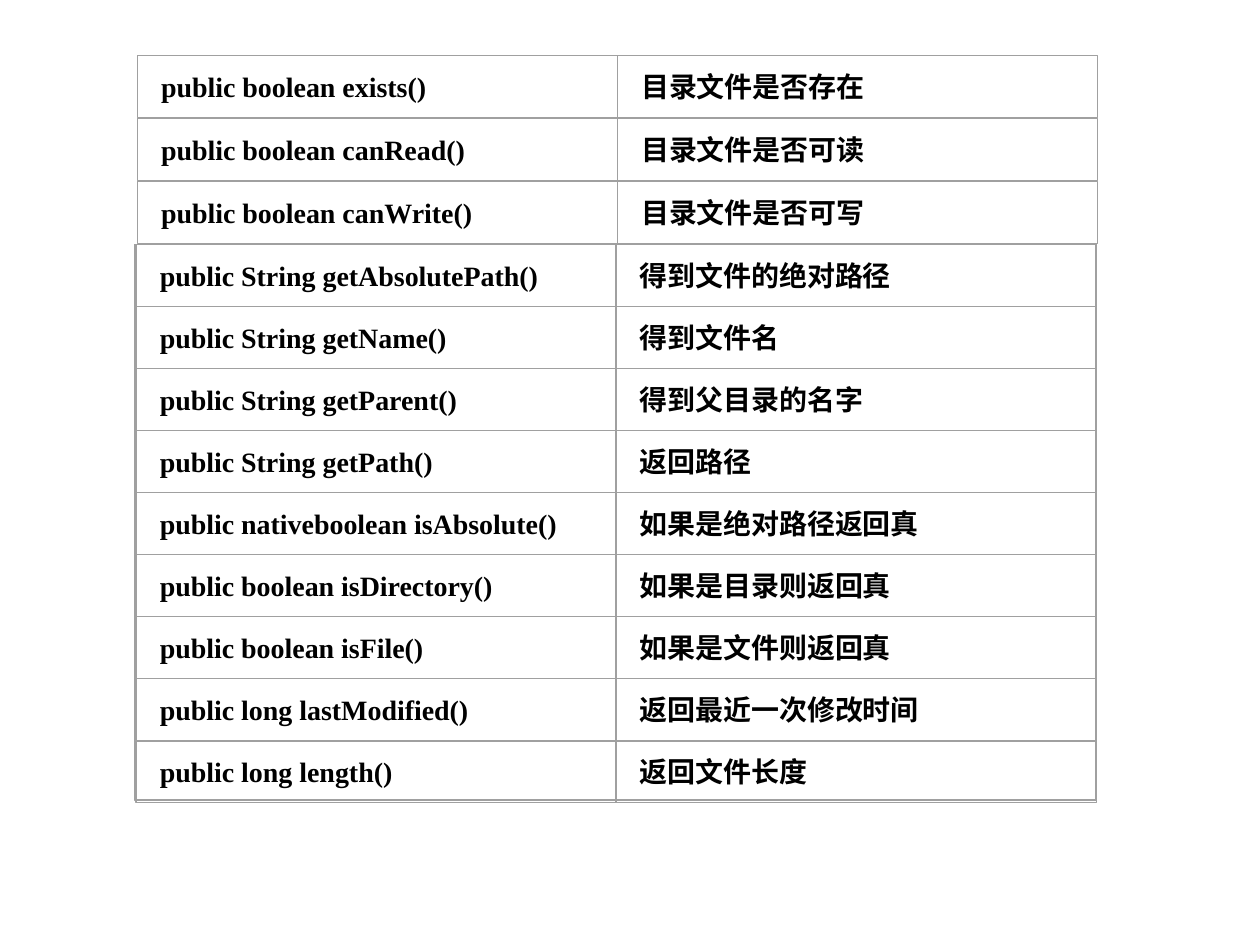
from dataclasses import dataclass
from typing import NamedTuple

from pptx import Presentation
from pptx.dml.color import RGBColor
from pptx.enum.shapes import MSO_SHAPE
from pptx.enum.text import MSO_ANCHOR, PP_ALIGN
from pptx.util import Inches, Pt

RECTANGLE = MSO_SHAPE.RECTANGLE
JUSTIFY = PP_ALIGN.JUSTIFY
MIDDLE = MSO_ANCHOR.MIDDLE
BLANK_LAYOUT = 6


@dataclass(frozen=True)
class Theme:
    font: str = "Times New Roman"
    text_size: float = 16
    text_color: str = "000000"
    border_color: str = "A0A0A0"
    hairline: float = 0
    frame_width: float = 0.75


class Box(NamedTuple):
    """Place and size, in inches."""
    left: float
    top: float
    width: float
    height: float

    def lengths(self) -> list[int]:
        return [Inches(value) for value in self]


class FileMethod(NamedTuple):
    signature: str
    meaning: str


@dataclass(frozen=True)
class MethodBlock:
    """Rows of two bordered cells, from one corner at one row pitch."""
    left: float
    top: float
    pitch: float
    methods: list[FileMethod]


THEME = Theme()
CELL_WIDTH, CELL_HEIGHT = 3.81, 0.49
TEXT_INSET = 0.09
FRAME = Box(1.07, 1.94, 7.63, 4.41)

ACCESS_CHECKS = MethodBlock(1.09, 0.44, 0.5, [
    FileMethod("public boolean exists()", "目录文件是否存在"),
    FileMethod("public boolean canRead()", "目录文件是否可读"),
    FileMethod("public boolean canWrite()", "目录文件是否可写"),
])

FILE_DETAILS = MethodBlock(1.08, 1.94, (5.88 - 1.94) / 8, [
    FileMethod("public String getAbsolutePath()", "得到文件的绝对路径"),
    FileMethod("public String getName()", "得到文件名"),
    FileMethod("public String getParent()", "得到父目录的名字"),
    FileMethod("public String getPath()", "返回路径"),
    FileMethod("public nativeboolean isAbsolute()", "如果是绝对路径返回真"),
    FileMethod("public boolean isDirectory()", "如果是目录则返回真"),
    FileMethod("public boolean isFile()", "如果是文件则返回真"),
    FileMethod("public long lastModified()", "返回最近一次修改时间"),
    FileMethod("public long length()", "返回文件长度"),
])


def add_border(shapes, box: Box, width: float) -> None:
    border = shapes.add_shape(RECTANGLE, *box.lengths())
    border.shadow.inherit = False
    border.fill.background()
    border.line.color.rgb = RGBColor.from_string(THEME.border_color)
    border.line.width = Pt(width)


def add_label(shapes, box: Box, text: str) -> None:
    frame = shapes.add_textbox(*box.lengths()).text_frame
    frame.word_wrap = True
    frame.vertical_anchor = MIDDLE
    paragraph = frame.paragraphs[0]
    paragraph.text = text
    paragraph.alignment = JUSTIFY
    font = paragraph.runs[0].font
    font.name = THEME.font
    font.size = Pt(THEME.text_size)
    font.bold = True
    font.color.rgb = RGBColor.from_string(THEME.text_color)


def add_cell(slide, box: Box, text: str) -> None:
    """Group a label with the border around it."""
    shapes = slide.shapes.add_group_shape().shapes
    label_box = box._replace(left=box.left + TEXT_INSET,
                             width=box.width - 2 * TEXT_INSET)
    add_label(shapes, label_box, text)
    add_border(shapes, box, THEME.hairline)


def add_block(slide, block: MethodBlock) -> None:
    for row, method in enumerate(block.methods):
        for column, text in enumerate(method):
            box = Box(block.left + column * CELL_WIDTH,
                      block.top + row * block.pitch, CELL_WIDTH, CELL_HEIGHT)
            add_cell(slide, box, text)


def main() -> None:
    presentation = Presentation()
    presentation.slide_width = Inches(10)
    presentation.slide_height = Inches(7.5)
    slide = presentation.slides.add_slide(presentation.slide_layouts[BLANK_LAYOUT])

    # File details with the frame around them
    add_block(slide, FILE_DETAILS)
    add_border(slide.shapes, FRAME, THEME.frame_width)

    # Access checks above
    add_block(slide, ACCESS_CHECKS)
    presentation.save("out.pptx")


if __name__ == "__main__":
    main()
